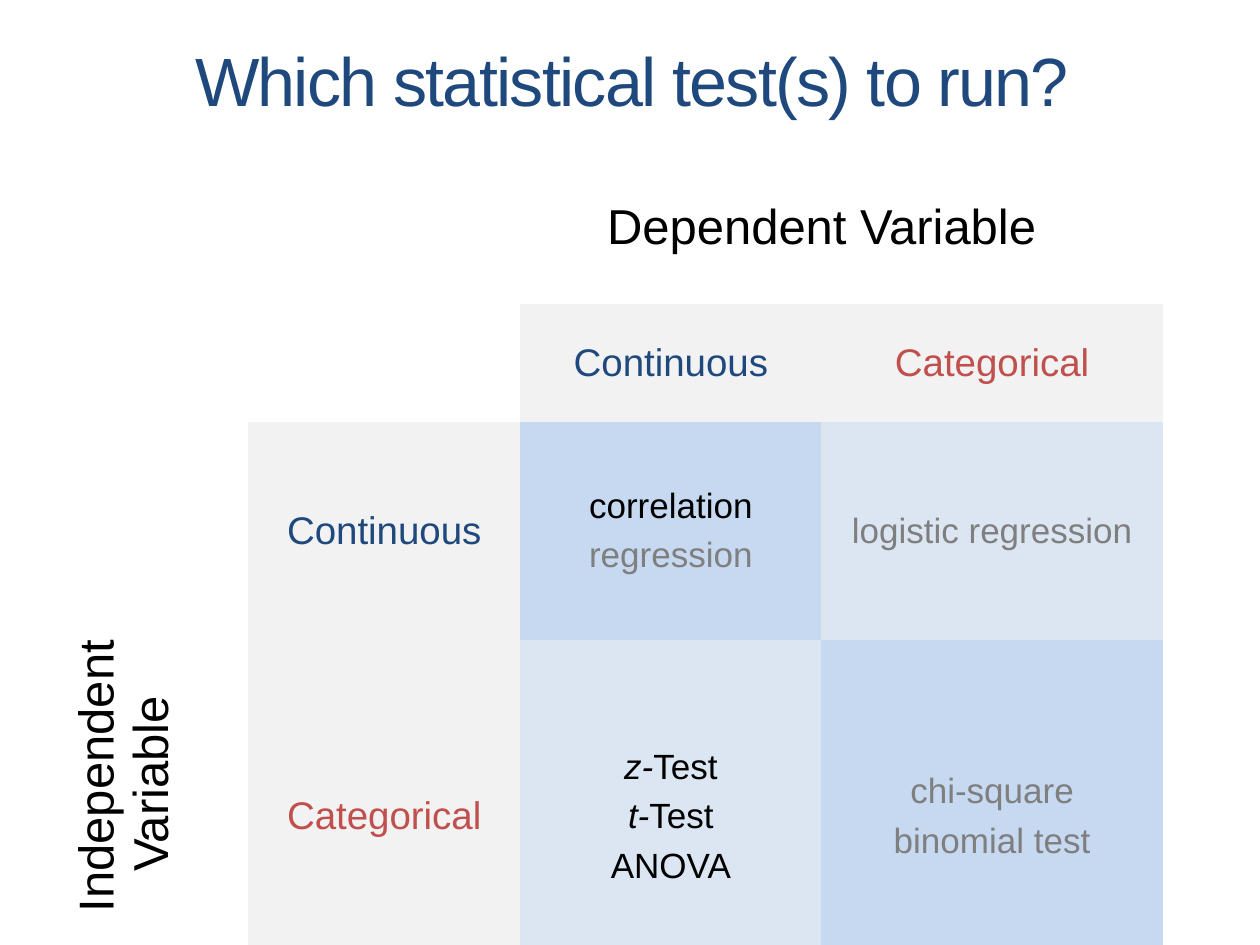
from pptx import Presentation
from pptx.dml.color import RGBColor
from pptx.enum.text import MSO_ANCHOR, PP_ALIGN
from pptx.util import Inches, Pt

COLORS = {
    "black": "000000", "navy": "1F497D", "red": "C0504D", "gray": "7F7F7F",
    "head": "F2F2F2", "blue": "C6D9F1", "pale": "DCE6F2",
}
FONT = "Arial"
NO_STYLE = "{2D5ABB26-0587-4C30-8999-92F81FD0307C}"
COLS = (1.47, 2.16, 2.39, 2.71)
ROWS = (1.21, 0.94, 1.73, 1.73)
CELLS = (
    (1, 2, "head", 22, [("Continuous", "navy")]),
    (1, 3, "head", 22, [("Categorical", "red")]),
    (2, 1, "head", 22, [("Continuous", "navy")]),
    (3, 1, "head", 22, [("Categorical", "red")]),
    (2, 2, "blue", 20, [("correlation", "black"), ("regression", "gray")]),
    (2, 3, "pale", 20, [("logistic regression", "gray")]),
    (3, 2, "pale", 20, [("z-|Test", "black"), ("t-|Test", "black"), ("ANOVA", "black")]),
    (3, 3, "blue", 20, [("chi-square", "gray"), ("binomial test", "gray")]),
)


def rgb(name):
    """Return the named colour."""
    return RGBColor.from_string(COLORS[name])


def add_run(p, text, size, color, italic=False):
    """Add a formatted run to a paragraph."""
    r = p.add_run()
    r.text = text
    r.font.name, r.font.size = FONT, Pt(size)
    r.font.italic = italic
    r.font.color.rgb = rgb(color)
    return r


def fill_cell(cell, fill, size, lines):
    """Fill a cell with centred lines; text before a bar is italic."""
    cell.fill.solid()
    cell.fill.fore_color.rgb = rgb(fill)
    cell.vertical_anchor = MSO_ANCHOR.MIDDLE
    tf = cell.text_frame
    for i, (text, color) in enumerate(lines):
        p = tf.add_paragraph() if i else tf.paragraphs[0]
        p.alignment = PP_ALIGN.CENTER
        if len(lines) > 1:
            p.space_after = Pt(6)
        lead, bar, rest = text.partition("|")
        add_run(p, lead, size, color, bool(bar))
        if bar:
            add_run(p, rest, size, color)


def add_axis(cell, end, lines):
    """Merge cells into an axis label with indented lines."""
    cell.merge(end)
    tf = cell.text_frame
    for i, (text, indent) in enumerate(lines):
        p = tf.add_paragraph() if i else tf.paragraphs[0]
        p._p.get_or_add_pPr().set("marL", str(Inches(indent)))
        add_run(p, text, 28, "black")


def add_title(s, text):
    """Place and format the slide title."""
    sp = s.shapes.title
    sp.left, sp.top, sp.width, sp.height = map(Inches, (0.75, 0.3, 8.53, 0.74))
    tf = sp.text_frame
    tf.vertical_anchor = MSO_ANCHOR.MIDDLE
    p = tf.paragraphs[0]
    p.alignment, p.line_spacing = PP_ALIGN.CENTER, 0.9
    r = add_run(p, text, 39, "navy")
    r.font._element.set("spc", "-100")


def add_test_table(s):
    """Add the table of tests by variable type."""
    frame = s.shapes.add_table(len(ROWS), len(COLS), Inches(0.5), Inches(1.2),
                               Inches(sum(COLS)), Inches(sum(ROWS)))
    table = frame.table
    table.first_row = table.horz_banding = False
    table._tbl.tblPr[0].text = NO_STYLE
    for col, width in zip(table.columns, COLS):
        col.width = Inches(width)
    for row, height in zip(table.rows, ROWS):
        row.height = Inches(height)
    for row, col, fill, size, lines in CELLS:
        fill_cell(table.cell(row, col), fill, size, lines)

    side = table.cell(0, 0)
    add_axis(side, table.cell(3, 0), [("Independent", 0.54), ("Variable", 0.86)])
    side._tc.get_or_add_tcPr().set("vert", "vert270")
    top = table.cell(0, 1)
    add_axis(top, table.cell(0, 3), [("Dependent Variable", 1.84)])
    top.vertical_anchor = MSO_ANCHOR.MIDDLE
    top.text_frame.paragraphs[0].alignment = PP_ALIGN.CENTER


def main():
    """Build and save the slide."""
    prs = Presentation()
    prs.slide_width, prs.slide_height = Inches(10), Inches(7.5)
    s = prs.slides.add_slide(prs.slide_layouts[5])
    add_test_table(s)
    add_title(s, "Which statistical test(s) to run?")
    prs.save("out.pptx")


if __name__ == "__main__":
    main()
